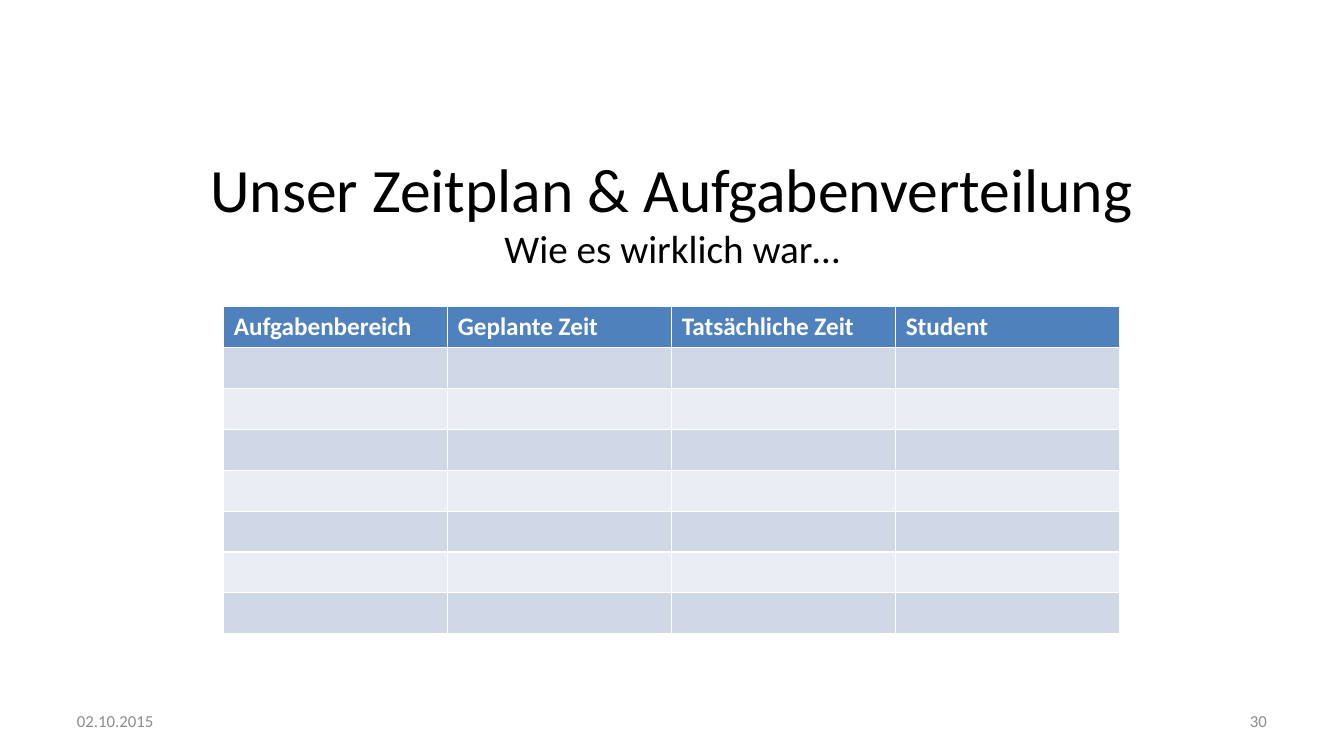
from pptx import Presentation
from pptx.dml.color import RGBColor
from pptx.enum.text import MSO_ANCHOR, MSO_AUTO_SIZE, PP_ALIGN
from pptx.util import Cm, Pt

MIDDLE = MSO_ANCHOR.MIDDLE
NO_AUTOFIT = MSO_AUTO_SIZE.NONE
LEFT, CENTER, RIGHT = PP_ALIGN.LEFT, PP_ALIGN.CENTER, PP_ALIGN.RIGHT

FONT = "Calibri"
COLORS = {
    "title": "000000",
    "footer": "8C8C8C",
    "header_text": "FFFFFF",
    "header_fill": "4F81BD",
    "odd_row": "D0D8E8",
    "even_row": "E9EDF4",
}
HEADINGS = ["Aufgabenbereich", "Geplante Zeit", "Tatsächliche Zeit", "Student"]
ROW_COUNT = 8


def color(name):
    return RGBColor.from_string(COLORS[name])


def format_font(font, size, color_name, bold=False):
    font.name = FONT
    font.size = Pt(size)
    font.bold = bold
    font.color.rgb = color(color_name)


def add_title(slide, left, top, width, height):
    title = slide.shapes.title
    title.left, title.top, title.width, title.height = left, top, width, height
    frame = title.text_frame
    frame.word_wrap = True
    frame.auto_size = NO_AUTOFIT
    frame.vertical_anchor = MIDDLE
    paragraph = frame.paragraphs[0]
    paragraph.alignment = CENTER
    heading = paragraph.add_run()
    heading.text = "Unser Zeitplan & Aufgabenverteilung"
    format_font(heading.font, 44, "title")
    paragraph.add_line_break()
    subtitle = paragraph.add_run()
    subtitle.text = "Wie es wirklich war…"
    format_font(subtitle.font, 28, "title")


def add_schedule(slide, left, top, width, height):
    table = slide.shapes.add_table(
        ROW_COUNT, len(HEADINGS), left, top, width, height
    ).table
    for row_index, row in enumerate(table.rows):
        if row_index == 0:
            fill_name = "header_fill"
        else:
            fill_name = "odd_row" if row_index % 2 else "even_row"
        for cell in row.cells:
            cell.fill.solid()
            cell.fill.fore_color.rgb = color(fill_name)
    for cell, heading in zip(table.rows[0].cells, HEADINGS):
        cell.text = heading
        format_font(cell.text_frame.paragraphs[0].font, 18, "header_text", True)


def add_footer_text(slide, text, alignment, left, top, width, height):
    frame = slide.shapes.add_textbox(left, top, width, height).text_frame
    frame.word_wrap = True
    frame.vertical_anchor = MIDDLE
    paragraph = frame.paragraphs[0]
    paragraph.text = text
    paragraph.alignment = alignment
    format_font(paragraph.font, 12, "footer")


def add_footer(slide, left, top, width, height):
    part_width = Cm(7.9)
    add_footer_text(slide, "02.10.2015", LEFT, left, top, part_width, height)
    number_left = left + width - part_width
    add_footer_text(slide, "30", RIGHT, number_left, top, part_width, height)


def main():
    presentation = Presentation()
    presentation.slide_width = Cm(33.87)
    presentation.slide_height = Cm(19.05)
    slide = presentation.slides.add_slide(presentation.slide_layouts[5])
    margin = Cm(1.69)
    content_width = presentation.slide_width - 2 * margin
    add_title(slide, margin, Cm(3.73), content_width, Cm(3.18))
    add_schedule(slide, Cm(5.64), Cm(7.73), Cm(22.58), Cm(8.24))
    add_footer(slide, margin, Cm(17.66), content_width, Cm(1.01))
    presentation.save("out.pptx")


if __name__ == "__main__":
    main()
